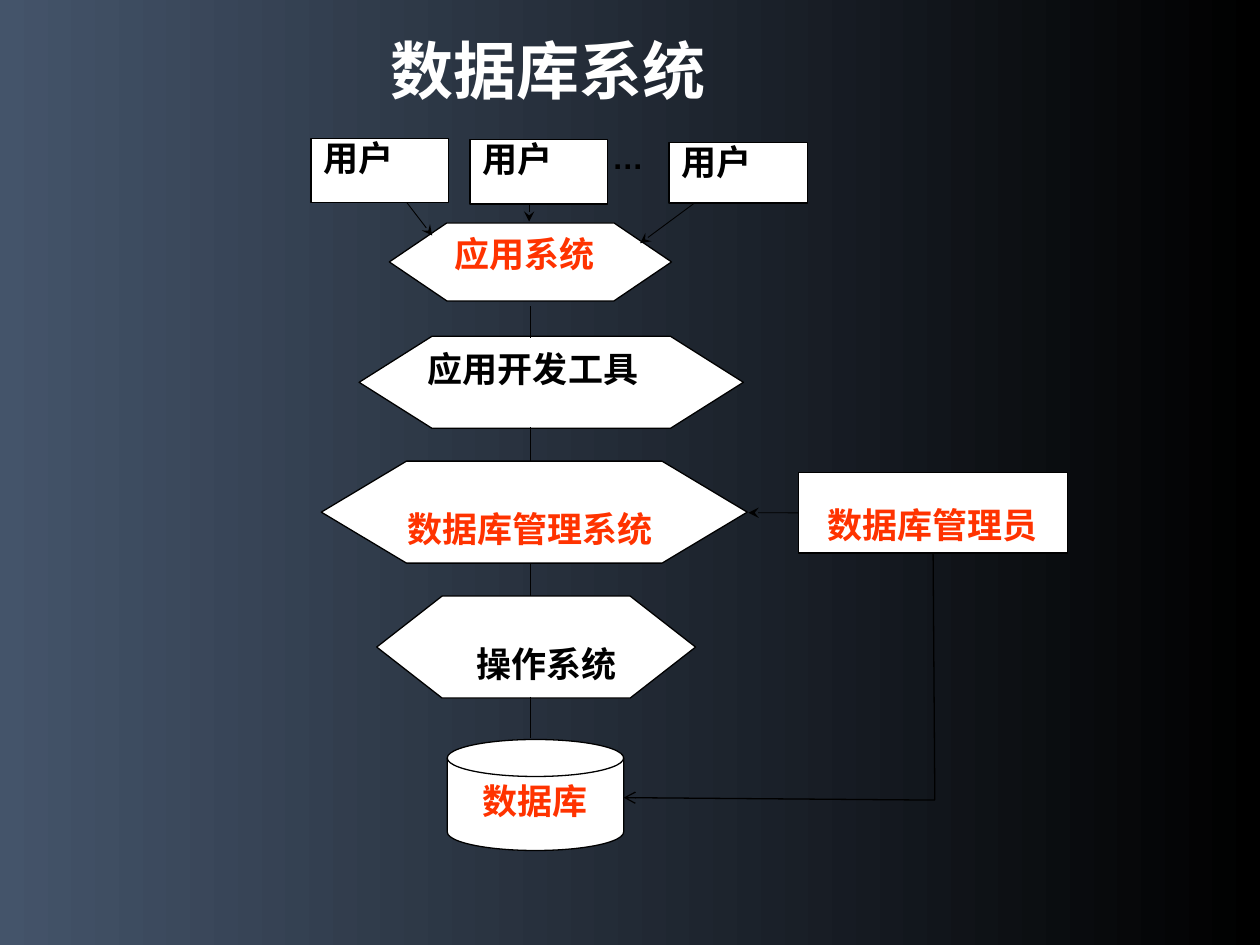
import pptx
import pptx.util
import pptx.dml.color
import pptx.enum.shapes
import pptx.enum.text
import pptx.oxml.ns
import pptx.oxml.xmlchemy

Pt = pptx.util.Pt
PRESET = pptx.enum.shapes.MSO_SHAPE
ANCHOR = pptx.enum.text.MSO_ANCHOR

BLACK, WHITE, RED, SLATE = "000000", "FFFFFF", "FF3300", "44546A"
INSET_X, INSET_Y = 7.2, 3.6
SECOND_LINE = 22.6  # top inset that sets a label one line lower
AXIS_X = 303.1


def rgb(hex_code):
    return pptx.dml.color.RGBColor.from_string(hex_code)


def paint_background(slide):
    fill = slide.background.fill
    fill.gradient()
    fill.gradient_angle = 180
    for stop, color, position in zip(fill.gradient_stops, (BLACK, SLATE), (0, 1)):
        stop.color.rgb = rgb(color)
        stop.position = position


def write_label(frame, text, size, color, indent=0, top=INSET_Y, spacing=1.0):
    """Write one bold left-aligned line; indent is added to the left inset."""
    frame.text = text
    frame.word_wrap = True
    frame.auto_size = pptx.enum.text.MSO_AUTO_SIZE.NONE
    frame.vertical_anchor = ANCHOR.TOP
    frame.margin_left, frame.margin_right = Pt(INSET_X + indent), Pt(INSET_X)
    frame.margin_top, frame.margin_bottom = Pt(top), Pt(INSET_Y)
    paragraph = frame.paragraphs[0]
    paragraph.alignment = pptx.enum.text.PP_ALIGN.LEFT
    paragraph.line_spacing = spacing
    font = paragraph.runs[0].font
    font.name, font.size, font.bold = "Arial", Pt(size), True
    font.color.rgb = rgb(color)


def add_node(slide, preset, bounds, text, color=BLACK, indent=0, top=INSET_Y,
             spacing=0.8, slant=None):
    node = slide.shapes.add_shape(preset, *map(Pt, bounds))
    node.shadow.inherit = False
    node.fill.solid()
    node.fill.fore_color.rgb = rgb(WHITE)
    node.line.color.rgb = rgb(BLACK)
    node.line.width = Pt(0.75)
    if slant is not None:
        node.adjustments[0] = slant
    write_label(node.text_frame, text, 20, color, indent, top, spacing)
    return node


def add_link(slide, start, end, width=0.5, arrowhead=None):
    link = slide.shapes.add_connector(
        pptx.enum.shapes.MSO_CONNECTOR.STRAIGHT, *map(Pt, start + end))
    link.line.color.rgb = rgb(BLACK)
    link.line.width = Pt(width)
    properties = link._element.spPr
    if arrowhead:
        head = pptx.oxml.xmlchemy.OxmlElement("a:tailEnd")
        head.set("type", arrowhead)
        properties.find(pptx.oxml.ns.qn("a:ln")).append(head)
    properties.append(pptx.oxml.xmlchemy.OxmlElement("a:effectLst"))
    return link


def add_title(slide, text):
    title = slide.shapes.title
    title.left, title.top, title.width, title.height = map(Pt, (195.8, 14.4, 323.3, 50.4))
    write_label(title.text_frame, text, 36, WHITE, indent=20)
    title.text_frame.vertical_anchor = ANCHOR.MIDDLE


def add_layers(slide):
    add_node(slide, PRESET.FLOWCHART_MAGNETIC_DISK, (255.6, 422.6, 100.8, 63.4),
             "数据库", RED, indent=13, spacing=0.96)
    for bounds, slant, text, color, indent, top in (
        ((222.5, 127.4, 161.3, 44.6), 0.738, "应用系统", RED, 5.5, INSET_Y),
        ((205.2, 192.2, 219.6, 52.6), 0.792, "应用开发工具", BLACK, 0, INSET_Y),
        ((215.3, 340.6, 182.2, 58.3), 0.641, "操作系统", BLACK, 22, SECOND_LINE),
        ((183.6, 263.5, 243.4, 58.3), 0.835, "数据库管理系统", RED, 5.5, SECOND_LINE),
    ):
        add_node(slide, PRESET.HEXAGON, bounds, text, color, indent, top, slant=slant)
    for upper, lower in ((175, 193), (244.1, 264.2), (321.8, 340.6), (398.2, 421.9)):
        add_link(slide, (AXIS_X, upper), (AXIS_X, lower))


def add_administrator(slide):
    administrator = add_node(slide, PRESET.RECTANGLE, (456.5, 270, 153.4, 46.1),
                             "数据库管理员", RED, indent=9, top=SECOND_LINE)
    corner = (534.2, 457.2)
    to_dbms = add_link(slide, (456.5, 293), (427.7, 293), arrowhead="stealth")
    to_dbms.begin_connect(administrator, 1)
    to_corner = add_link(slide, (533.2, 316.1), corner, width=0.75)
    to_corner.begin_connect(administrator, 2)
    add_link(slide, corner, (356.4, 455.8), width=0.75, arrowhead="arrow")


def add_users(slide):
    for start, end in (
        ((228.2, 110.2), (247, 134.6)),
        ((302.4, 106.6), (302.4, 126.7)),
        ((406.8, 108.7), (365.8, 139)),
    ):
        add_link(slide, start, end, arrowhead="stealth")
    for bounds in ((177.8, 79.2, 78.5, 36.7), (268.6, 79.9, 78.5, 36.7),
                   (382.3, 81.4, 79.2, 34.6)):
        add_node(slide, PRESET.RECTANGLE, bounds, "用户")
    more_users = slide.shapes.add_textbox(*map(Pt, (342.7, 75.6, 45.4, 28.8)))
    write_label(more_users.text_frame, "…", 18, BLACK)


def main():
    deck = pptx.Presentation()
    deck.slide_width, deck.slide_height = Pt(720), Pt(540)
    slide = deck.slides.add_slide(deck.slide_layouts[5])
    paint_background(slide)
    add_title(slide, "数据库系统")
    add_layers(slide)
    add_administrator(slide)
    add_users(slide)
    deck.save("out.pptx")


if __name__ == "__main__":
    main()
